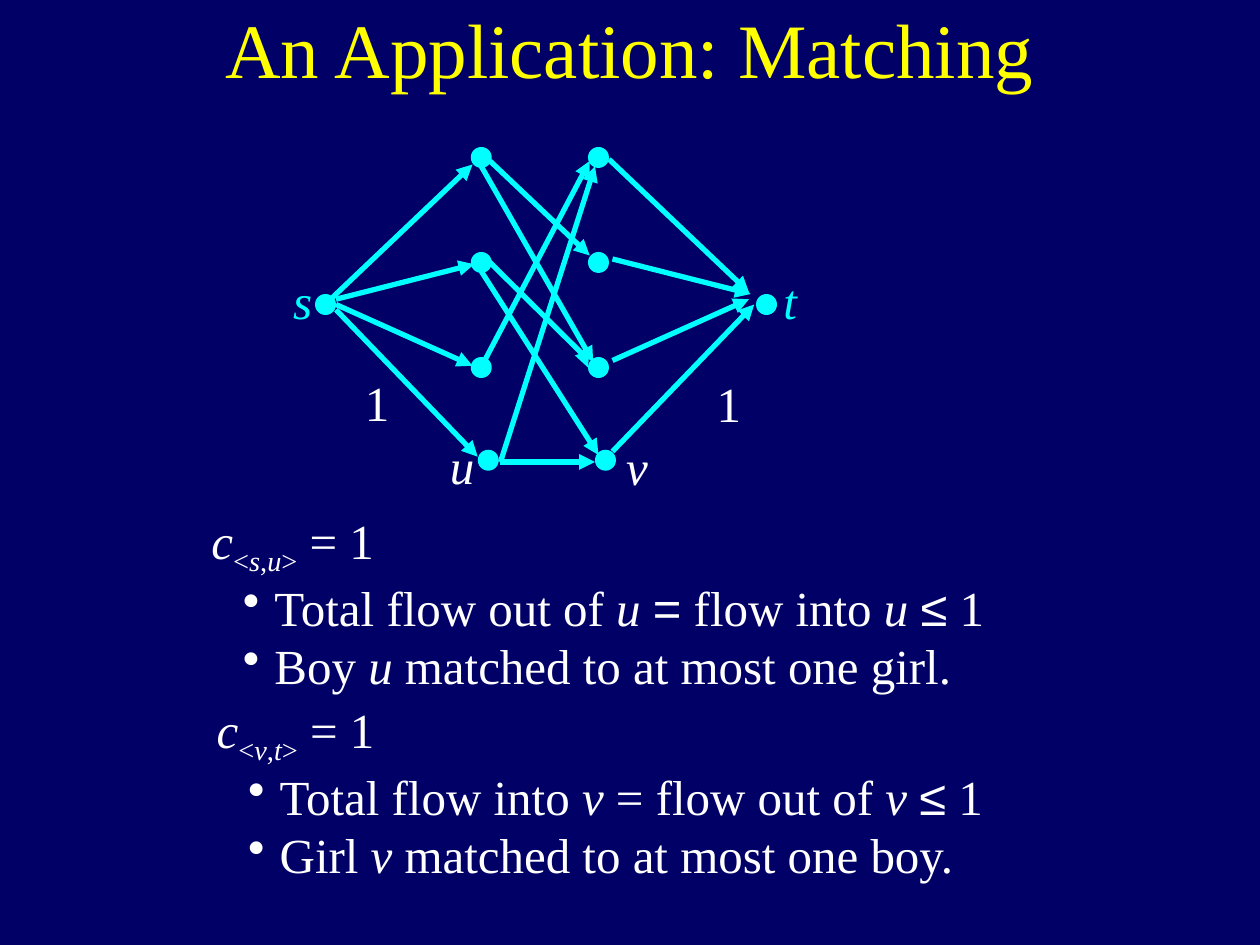
from dataclasses import dataclass

from lxml.etree import SubElement
from pptx import Presentation
from pptx.dml.color import RGBColor as Color
from pptx.enum.shapes import MSO_CONNECTOR as Link, MSO_SHAPE as Preset
from pptx.enum.text import MSO_ANCHOR as Anchor, PP_ALIGN as Align
from pptx.oxml.ns import qn
from pptx.util import Pt


@dataclass(frozen=True)
class Theme:
    back: Color = Color.from_string("000066")
    heading: Color = Color.from_string("FFFF00")
    graph: Color = Color.from_string("00FFFF")
    body: Color = Color.from_string("FFFFFF")
    serif: str = "Times New Roman"
    sans: str = "Arial"
    title_size: int = 44
    text_size: int = 28
    line_width: int = 3
    node_size: int = 12


def apply(target, values):
    for name, value in values.items():
        setattr(target, name, value)


class Painter:
    """Draws styled elements on the current slide."""

    def __init__(self, page, theme):
        self.page, self.theme = page, theme
        page.background.fill.solid()
        page.background.fill.fore_color.rgb = theme.back

    def style(self, font, color, **values):
        apply(font, {"name": self.theme.serif, "size": Pt(self.theme.text_size), **values})
        font.color.rgb = color

    def title(self, text, left, top, width, height):
        box = self.page.shapes.title
        apply(box, {"left": Pt(left), "top": Pt(top), "width": Pt(width), "height": Pt(height)})
        apply(box.text_frame, {"text": text, "vertical_anchor": Anchor.MIDDLE})
        para = box.text_frame.paragraphs[0]
        para.alignment = Align.CENTER
        self.style(para.runs[0].font, self.theme.heading, size=Pt(self.theme.title_size))

    def node(self, left, top):
        size = Pt(self.theme.node_size)
        dot = self.page.shapes.add_shape(Preset.OVAL, Pt(left), Pt(top), size, size)
        dot.shadow.inherit = False
        dot.fill.solid()
        dot.fill.fore_color.rgb = self.theme.graph
        dot.line.fill.background()

    def arrow(self, *points):
        corners = [(Pt(x), Pt(y)) for x, y in points]
        if len(corners) == 2:
            edge = self.page.shapes.add_connector(Link.STRAIGHT, *corners[0], *corners[1])
        else:
            outline = self.page.shapes.build_freeform(*corners[0])
            outline.add_line_segments(corners[1:], close=False)
            edge = outline.convert_to_shape()
            edge.fill.background()
        edge.line.color.rgb = self.theme.graph
        edge.line.width = Pt(self.theme.line_width)
        SubElement(edge.line._get_or_add_ln(), qn("a:tailEnd"), type="triangle")
        SubElement(edge._element.spPr, qn("a:effectLst"))

    def textbox(self, left, top, width, height, wrap):
        box = self.page.shapes.add_textbox(Pt(left), Pt(top), Pt(width), Pt(height))
        box.text_frame.word_wrap = wrap
        return box.text_frame

    def label(self, text, left, top, width, color, italic=True):
        para = self.textbox(left, top, width, 41, False).paragraphs[0]
        para.alignment = Align.CENTER
        span = para.add_run()
        span.text = text
        self.style(span.font, color, italic=italic)

    def spans(self, para, parts):
        for text, flags in parts:
            span = para.add_run()
            span.text = text
            face = self.theme.sans if "sans" in flags else self.theme.serif
            self.style(span.font, self.theme.body, name=face, italic="italic" in flags)
            if "sub" in flags:
                span._r.get_or_add_rPr().set("baseline", "-25000")

    def argument(self, left, top, width, heading, bullets):
        frame = self.textbox(left, top, width, 113, True)
        self.spans(frame.paragraphs[0], heading)
        for parts in bullets:
            para = frame.add_paragraph()
            para.level = 1
            props = para._p.get_or_add_pPr()
            props.set("marL", str(Pt(36)))
            props.set("indent", str(Pt(-18)))
            tint = SubElement(props, qn("a:buClr"))
            SubElement(tint, qn("a:srgbClr"), val=str(self.theme.body))
            SubElement(props, qn("a:buChar"), char="•")
            self.spans(para, parts)


def capacity(start, end):
    return [("c", "italic"), ("<", "sub"), (start, "italic sub"), (",", "sub"),
            (end, "italic sub"), (">", "sub"), (" = 1", "")]


MATCH_EDGES = [
    [(275, 95), (339, 207)],
    [(279, 149), (337, 206.5), (336, 210)],
    [(277, 206), (337, 92)],
    [(286, 264), (340, 264)],
    [(280, 92), (337, 146)],
    [(275, 155), (342, 260)],
    [(286, 264), (340, 95)],
]
SOURCE_EDGES = [
    [(192, 177), (273, 261)],
    [(192, 174), (270, 209)],
    [(192, 171), (271, 151)],
    [(190, 170), (270, 94)],
]
SINK_EDGES = [
    [(350, 258), (431, 174)],
    [(350, 206), (428, 171)],
    [(350, 148), (429, 168)],
    [(348, 91), (428, 167)],
]
BOY_RULES = [
    [("Total flow out of ", ""), ("u ", "italic"), ("=", "sans"), (" flow into ", ""),
     ("u ", "italic"), ("≤", "sans"), (" 1", "")],
    [("Boy ", ""), ("u", "italic"), (" matched to at most one girl.", "")],
]
GIRL_RULES = [
    [("Total flow into ", ""), ("v", "italic"), (" = flow out of ", ""),
     ("v ", "italic"), ("≤", "sans"), (" 1", "")],
    [("Girl ", ""), ("v ", "italic"), ("matched to at most one boy.", "")],
]


def main():
    deck = Presentation()
    apply(deck, {"slide_width": Pt(720), "slide_height": Pt(540)})
    theme = Theme()
    painter = Painter(deck.slides.add_slide(deck.slide_layouts[5]), theme)
    painter.title("An Application: Matching", 54, -18, 612, 90)

    for points in MATCH_EDGES:
        painter.arrow(*points)
    columns = (269, 336)
    for left in columns:
        for row in range(3):
            painter.node(left, 84 + 60 * row)
        painter.node(left + 4, 257)
    for left in (180, 432):
        painter.node(left, 168)
    for points in SOURCE_EDGES + SINK_EDGES:
        painter.arrow(*points)

    painter.label("s", 160.5, 151, 25, theme.graph)
    painter.label("t", 440.5, 151, 22, theme.graph)
    painter.label("u", 250, 245.5, 28, theme.body)
    painter.label("v", 350.5, 246, 27, theme.body)
    for left, top in ((201.5, 209.5), (402.5, 210)):
        painter.label("1", left, top, 28, theme.body, italic=False)

    painter.argument(113.75, 288, 480, capacity("s", "u"), BOY_RULES)
    painter.argument(116.75, 396, 471, capacity("v", "t"), GIRL_RULES)
    deck.save("out.pptx")


if __name__ == "__main__":
    main()
